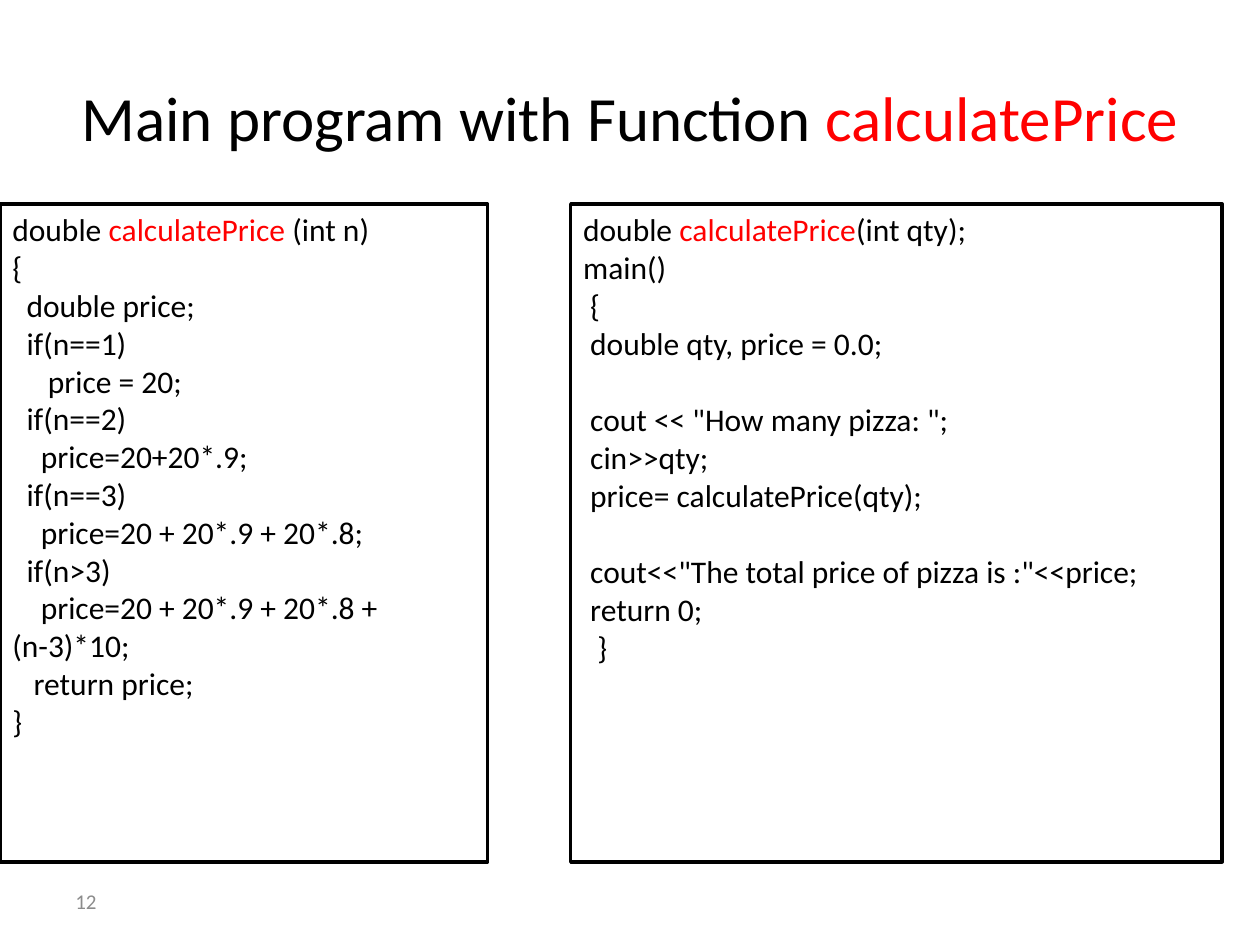
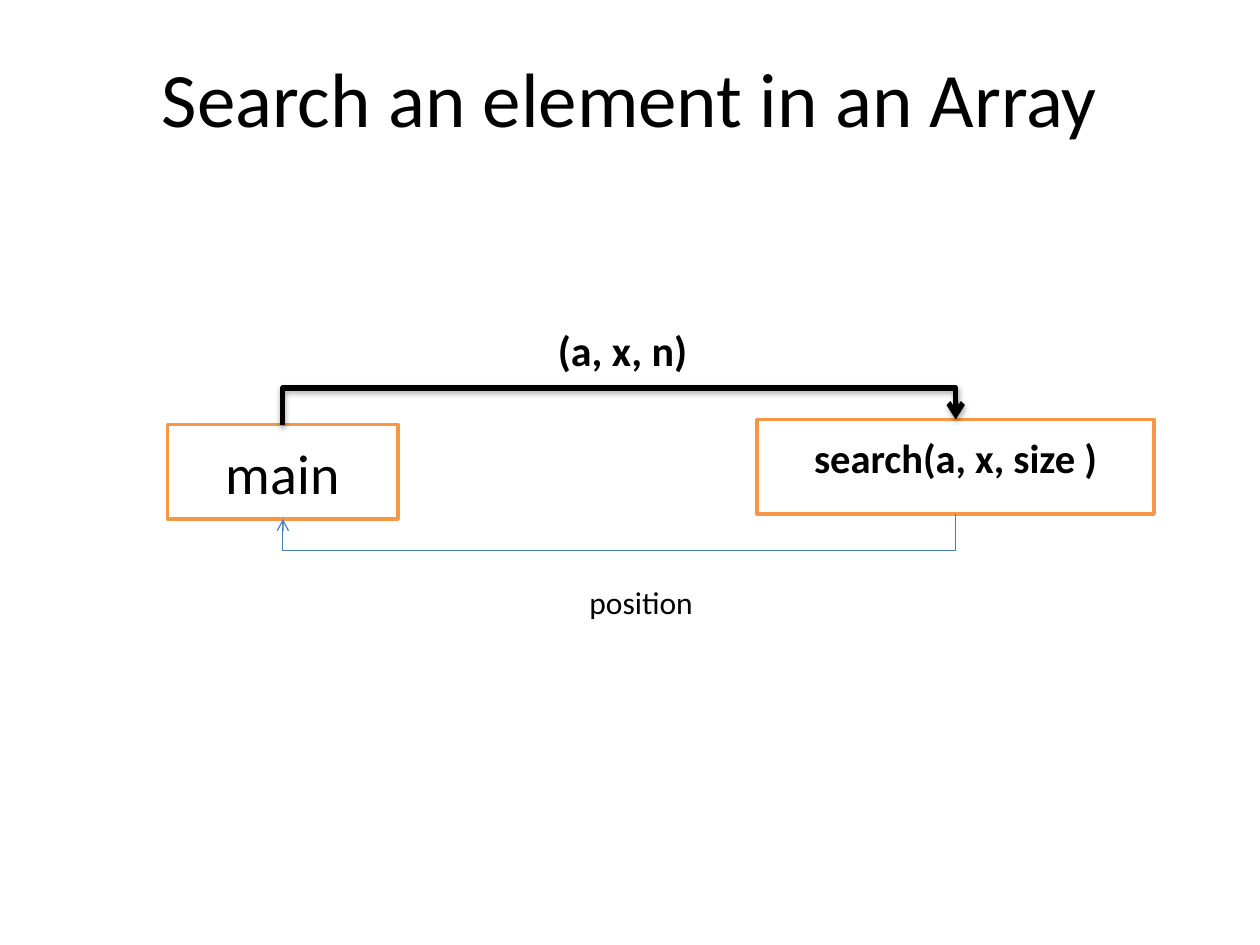
from lxml import etree
from pptx import Presentation
from pptx import util as u
from pptx.dml.color import RGBColor
from pptx.enum import shapes, text
from pptx.oxml import parse_xml
from pptx.oxml.ns import nsdecls, qn

FONT = "Calibri"
BLACK = RGBColor(0x00, 0x00, 0x00)
WHITE = RGBColor(0xFF, 0xFF, 0xFF)
RED = RGBColor(0xFF, 0x00, 0x00)
GRAY = RGBColor(0x8C, 0x8C, 0x8C)
ORANGE = RGBColor(0xF7, 0x96, 0x46)
BLUE = RGBColor(0x4B, 0x7E, 0xBC)

LEFT, CENTER = text.PP_ALIGN.LEFT, text.PP_ALIGN.CENTER
TOP, MIDDLE = text.MSO_ANCHOR.TOP, text.MSO_ANCHOR.MIDDLE
FUNCTION_NAME = "calculatePrice"
BLANK_LINE = 22  # points, one line of 18 pt code


def add_text(slide, box, lines, size, border=None, align=LEFT, anchor=TOP,
             color=BLACK, bold=False, wrap=True, highlight=None):
    """Add a text box, or a bordered rectangle, with one paragraph per line.

    The first line shows `highlight` in red; an empty line becomes space
    before the next one.
    """
    place = [u.Inches(value) for value in box]
    if border is None:
        shape = slide.shapes.add_textbox(*place)
    else:
        shape = slide.shapes.add_shape(shapes.MSO_SHAPE.RECTANGLE, *place)
        shape.shadow.inherit = False
        shape.fill.solid()
        shape.fill.fore_color.rgb = WHITE
        shape.line.color.rgb = border
        shape.line.width = u.Pt(2)
    frame = shape.text_frame
    frame.word_wrap = wrap
    frame.vertical_anchor = anchor
    paragraph = frame.paragraphs[0]
    for index, line in enumerate(lines):
        if not line:
            continue
        if index:
            paragraph = frame.add_paragraph()
            if not lines[index - 1]:
                paragraph.space_before = u.Pt(BLANK_LINE)
        paragraph.alignment = align
        pieces = [(line, color)]
        if highlight and index == 0:
            before, after = line.split(highlight)
            pieces = [(before, color), (highlight, RED), (after, color)]
        for piece, piece_color in pieces:
            if piece:
                run = paragraph.add_run()
                run.text = piece
                run.font.name = FONT
                run.font.size = u.Pt(size)
                run.font.bold = bold
                run.font.color.rgb = piece_color
    return shape


presentation = Presentation()
presentation.slide_width = u.Inches(10)
presentation.slide_height = u.Inches(7.5)
blank_layout = presentation.slide_layouts[6]

# Slide 1: function and main program side by side
slide = presentation.slides.add_slide(blank_layout)
add_text(slide, (0.5, 0.3, 9, 1.25), ["Main program with Function calculatePrice"],
         36, align=CENTER, anchor=MIDDLE, highlight=FUNCTION_NAME)
add_text(slide, (0.5, 6.95, 2.33, 0.4), ["12"], 12, anchor=MIDDLE, color=GRAY)

function_code = """double calculatePrice (int n)
{
  double price;
  if(n==1)
     price = 20;
  if(n==2)
    price=20+20*.9;
  if(n==3)
    price=20 + 20*.9 + 20*.8;
  if(n>3)
    price=20 + 20*.9 + 20*.8 + (n-3)*10;
   return price;
}"""
main_code = """double calculatePrice(int qty);
main()
 {
 double qty, price = 0.0;

 cout << "How many pizza: ";
 cin>>qty;
 price= calculatePrice(qty);

 cout<<"The total price of pizza is :"<<price;
 return 0;
  }"""
for left, width, code in ((0, 3.87, function_code), (4.53, 5.17, main_code)):
    add_text(slide, (left, 1.62, width, 5.22), code.split("\n"), 18,
             border=BLACK, highlight=FUNCTION_NAME)

# Slide 2: call and return between main and search
slide = presentation.slides.add_slide(blank_layout)
add_text(slide, (0.5, 0.33, 9, 0.87), ["Search an element in an Array"], 44,
         align=CENTER, anchor=MIDDLE)
main_box = add_text(slide, (1.33, 3.37, 1.83, 0.75), ["main"], 32,
                    border=ORANGE, align=CENTER, anchor=MIDDLE)
search_box = add_text(slide, (6.01, 3.33, 3.15, 0.75), ["search(a, x, size )"], 40,
                      border=ORANGE, align=CENTER, anchor=MIDDLE, bold=True)
search_run = search_box.text_frame.paragraphs[0].runs[0]
search_run.font._element.set("baseline", "30000")

main_center = main_box.left + main_box.width // 2
search_center = search_box.left + search_box.width // 2
span = search_center - main_center
step = main_box.top - search_box.top
BEND_DEPTH = u.Inches(0.29)

# start, end, side joined, height of the ends, flip, colour, width
arrows = (
    (main_box, search_box, 0, search_box.top, "1", BLACK, 3),
    (search_box, main_box, 2, search_box.top + search_box.height, "0", BLUE, 0.75),
)
for start, end, side, ends_top, flip, color, width in arrows:
    arrow = slide.shapes.add_connector(shapes.MSO_CONNECTOR.ELBOW, 0, 0, 0, 0)
    arrow.begin_connect(start, side)
    arrow.end_connect(end, side)
    # The elbow is a tall narrow box turned by a quarter
    arrow.left = (main_center + search_center - step) // 2
    arrow.top = ends_top + (step - span) // 2
    arrow.width, arrow.height = step, span
    properties = arrow._element.spPr
    transform = properties.find(qn("a:xfrm"))
    for name, value in (("rot", "5400000"), ("flipH", flip), ("flipV", flip)):
        transform.set(name, value)
    guides = properties.find(qn("a:prstGeom")).get_or_add_avLst()
    etree.SubElement(guides, qn("a:gd"), name="adj1",
                     fmla=f"val {round(BEND_DEPTH / step * 100000)}")
    arrow.line.color.rgb = color
    arrow.line.width = u.Pt(width)
    etree.SubElement(properties.find(qn("a:ln")), qn("a:tailEnd"), type="arrow")
    effects = etree.SubElement(properties, qn("a:effectLst"))
    if color == BLACK:
        effects.append(parse_xml(
            f'<a:outerShdw {nsdecls("a")} blurRad="40000" dist="23000" dir="5400000"'
            ' rotWithShape="0"><a:srgbClr val="000000"><a:alpha val="35000"/>'
            '</a:srgbClr></a:outerShdw>'))

add_text(slide, (4.33, 2.53, 1.24, 0.5), ["(a, x, n)"], 24, bold=True, wrap=False)
add_text(slide, (4.58, 4.58, 1.03, 0.4), ["position"], 18, wrap=False)

presentation.save("out.pptx")
